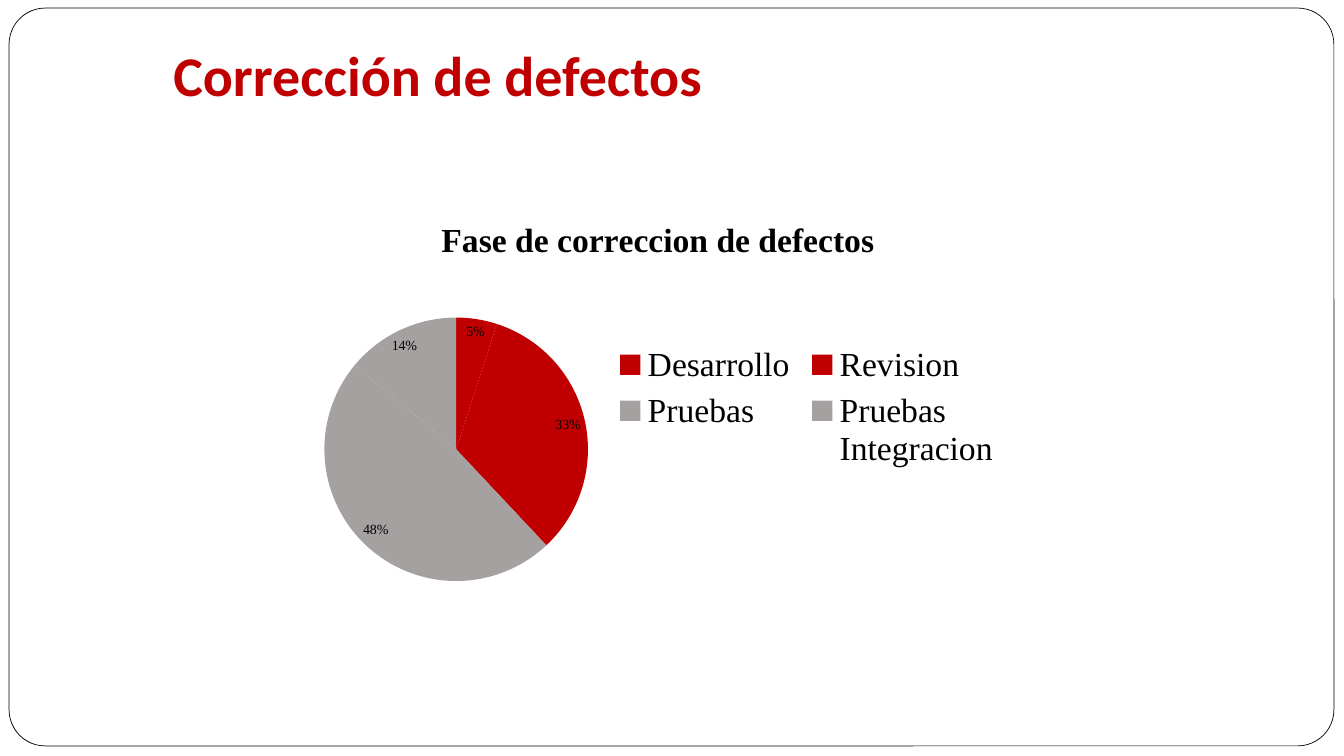
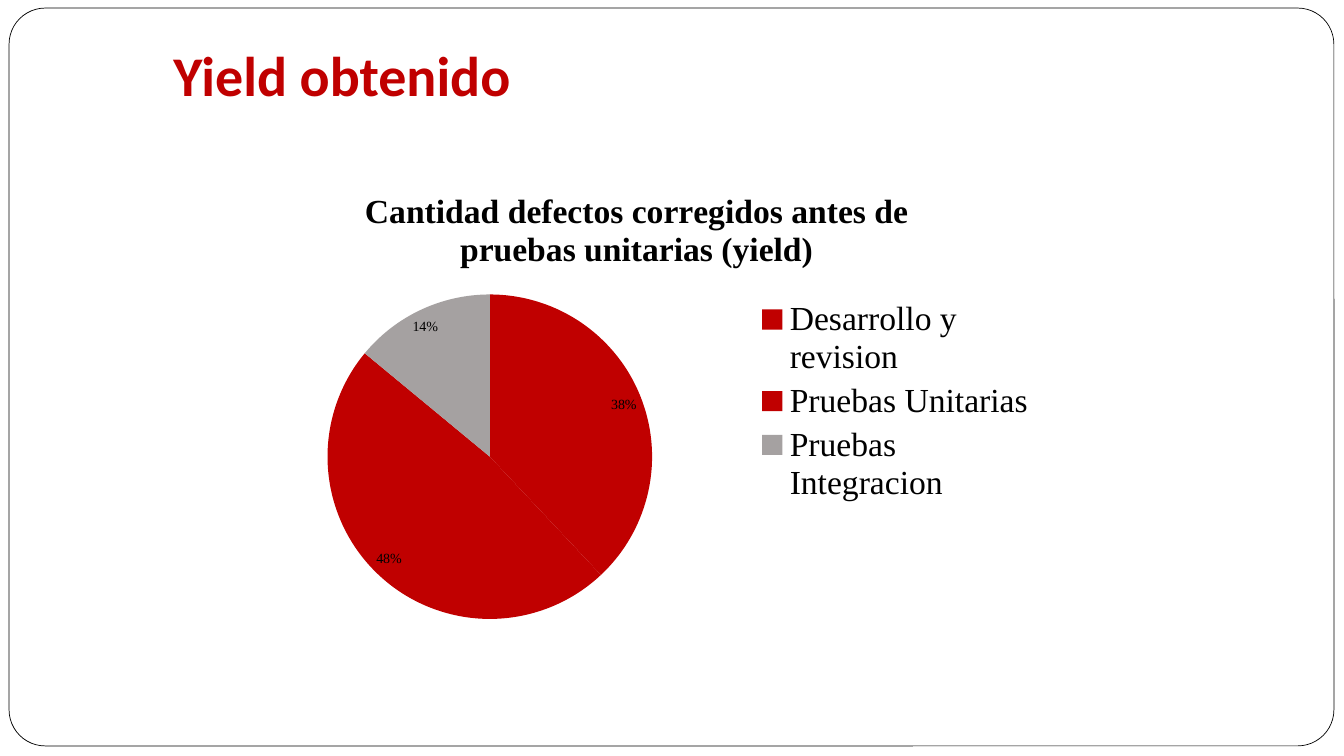
from lxml import etree
from pptx import Presentation
from pptx.chart.data import CategoryChartData
from pptx.dml.color import RGBColor
from pptx.enum import chart as charts, shapes, text
from pptx.oxml import ns
from pptx.util import Inches, Pt

RED, GRAY, BLACK, WHITE = "C00000", "A5A1A1", "000000", "FFFFFF"
HEAD, BODY = "Calibri", "Times New Roman"

PIES = [
    dict(
        head="Corrección de defectos",
        box=(3.08, 1.98, 6.88, 4.03),
        name="Fase de correccion de defectos",
        data=[
            ("Desarrollo", 5, RED),
            ("Revision", 33, RED),
            ("Pruebas", 48, GRAY),
            ("Pruebas\nIntegracion", 14, GRAY),
        ],
        title=(0.18, 0.03),
        plot=(0.02, 0.29, 0.38, 0.65),
        key=(0.43, 0.34, 0.57, 0.34),
    ),
    dict(
        head="Yield obtenido",
        box=(2.26, 1.68, 8.12, 4.6),
        name="Cantidad defectos corregidos antes de pruebas unitarias (yield)",
        data=[
            ("Desarrollo y revision", 38, RED),
            ("Pruebas Unitarias", 48, RED),
            ("Pruebas Integracion", 14, GRAY),
        ],
        title=(0.16, 0.03),
        plot=(0.12, 0.27, 0.4, 0.7),
        key=(0.64, 0.27, 0.35, 0.46),
    ),
]


def rgb(code):
    return RGBColor.from_string(code)


def style(font, face, size, color, bold=False):
    font.name, font.size, font.bold = face, Pt(size), bold
    font.color.rgb = rgb(color)


def place(node, spot, after=None):
    for old in node.findall(ns.qn("c:layout")):
        node.remove(old)
    layout = etree.Element(ns.qn("c:layout"))
    manual = etree.SubElement(layout, ns.qn("c:manualLayout"))
    rules = [("xMode", "edge"), ("yMode", "edge"), *zip("xywh", spot)]
    if after is None:
        rules.insert(0, ("layoutTarget", "inner"))
        node.insert(0, layout)
    else:
        node.find(ns.qn(after)).addnext(layout)
    for tag, val in rules:
        etree.SubElement(manual, ns.qn("c:" + tag)).set("val", str(val))


def add_frame(slide):
    frame = slide.shapes.add_shape(
        shapes.MSO_SHAPE.ROUNDED_RECTANGLE,
        *map(Inches, (0.09, 0.08, 13.14, 7.32)))
    frame.adjustments[0] = 0.049
    frame.shadow.inherit = False
    frame.fill.solid()
    frame.fill.fore_color.rgb = rgb(WHITE)
    frame.line.color.rgb = rgb(BLACK)
    frame.line.width = Pt(0.5)


def add_head(slide, words):
    box = slide.shapes.add_textbox(*map(Inches, (1.62, 0.11, 10.92, 1.72)))
    body = box.text_frame
    body.word_wrap = True
    body.vertical_anchor = text.MSO_ANCHOR.BOTTOM
    body.margin_bottom = Inches(0.76)
    run = body.paragraphs[0].add_run()
    run.text = words
    style(run.font, HEAD, 40, RED, True)


def add_pie(slide, pie):
    names, vals, fills = zip(*pie["data"])
    data = CategoryChartData()
    data.categories = names
    data.add_series("Series 1", vals)
    chart = slide.shapes.add_chart(
        charts.XL_CHART_TYPE.PIE, *map(Inches, pie["box"]), data).chart
    style(chart.font, BODY, 10, BLACK)

    chart.has_title = True
    run = chart.chart_title.text_frame.paragraphs[0].add_run()
    run.text = pie["name"]
    style(run.font, BODY, 24, BLACK, True)

    chart.has_legend = True
    key = chart.legend
    key.position = charts.XL_LEGEND_POSITION.RIGHT
    key.include_in_layout = False
    style(key.font, BODY, 24, BLACK)

    plot = chart.plots[0]
    plot.vary_by_categories = True
    for i, color in enumerate(fills):
        form = plot.series[0].points[i].format
        form.fill.solid()
        form.fill.fore_color.rgb = rgb(color)
        form.line.fill.background()

    plot.has_data_labels = True
    tags = plot.data_labels
    tags.show_value, tags.show_percentage = False, True
    tags.number_format, tags.number_format_is_linked = "0%", False
    tags.position = charts.XL_LABEL_POSITION.BEST_FIT
    style(tags.font, BODY, 10, BLACK)

    root = chart.element.find(ns.qn("c:chart"))
    place(root.find(ns.qn("c:title")), pie["title"], "c:tx")
    place(root.find(ns.qn("c:plotArea")), pie["plot"])
    place(root.find(ns.qn("c:legend")), pie["key"], "c:legendPos")


def main():
    deck = Presentation()
    deck.slide_width, deck.slide_height = Inches(13.33), Inches(7.5)
    for pie in PIES:
        slide = deck.slides.add_slide(deck.slide_layouts[6])
        add_frame(slide)
        add_head(slide, pie["head"])
        add_pie(slide, pie)
    deck.save("out.pptx")


if __name__ == "__main__":
    main()
